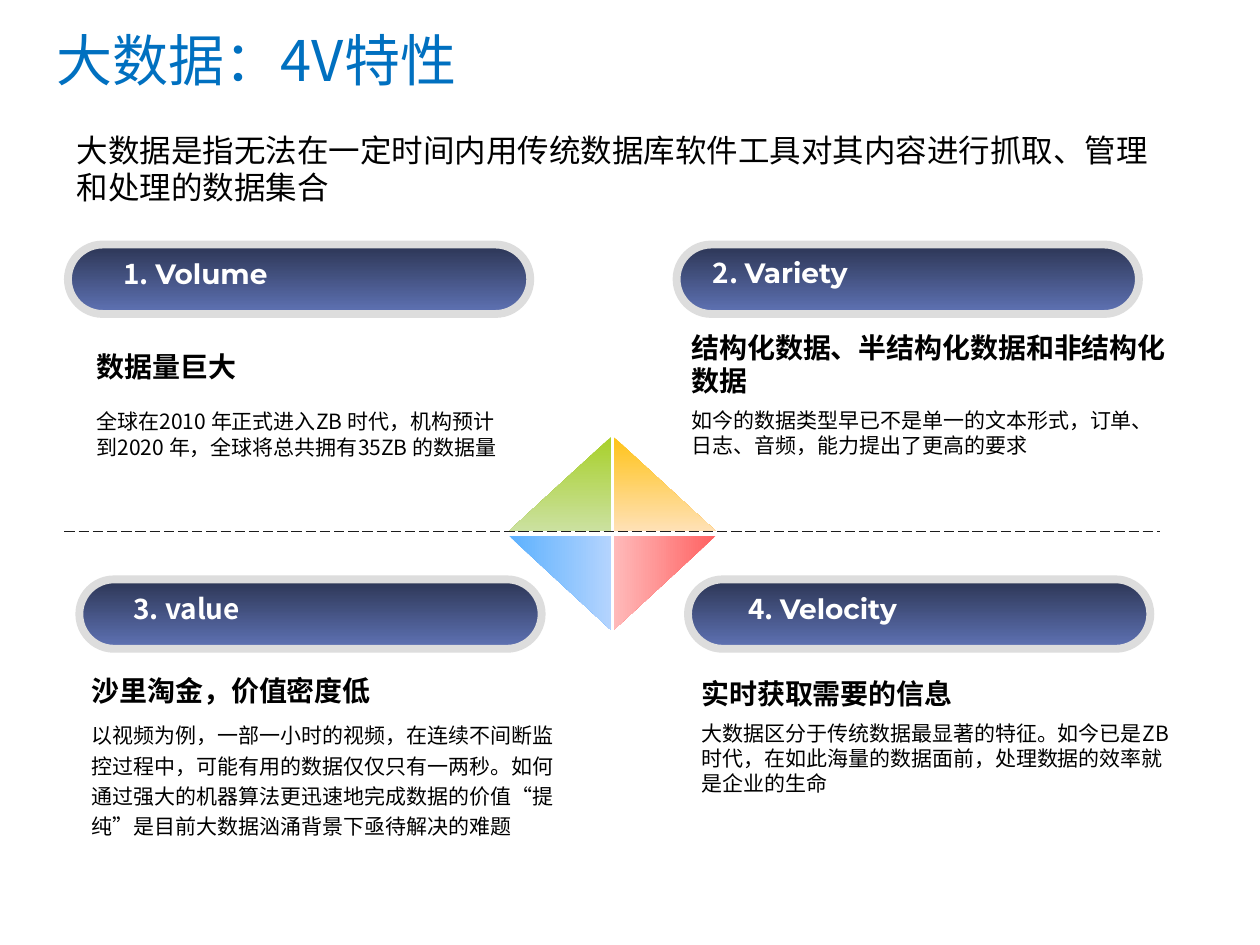
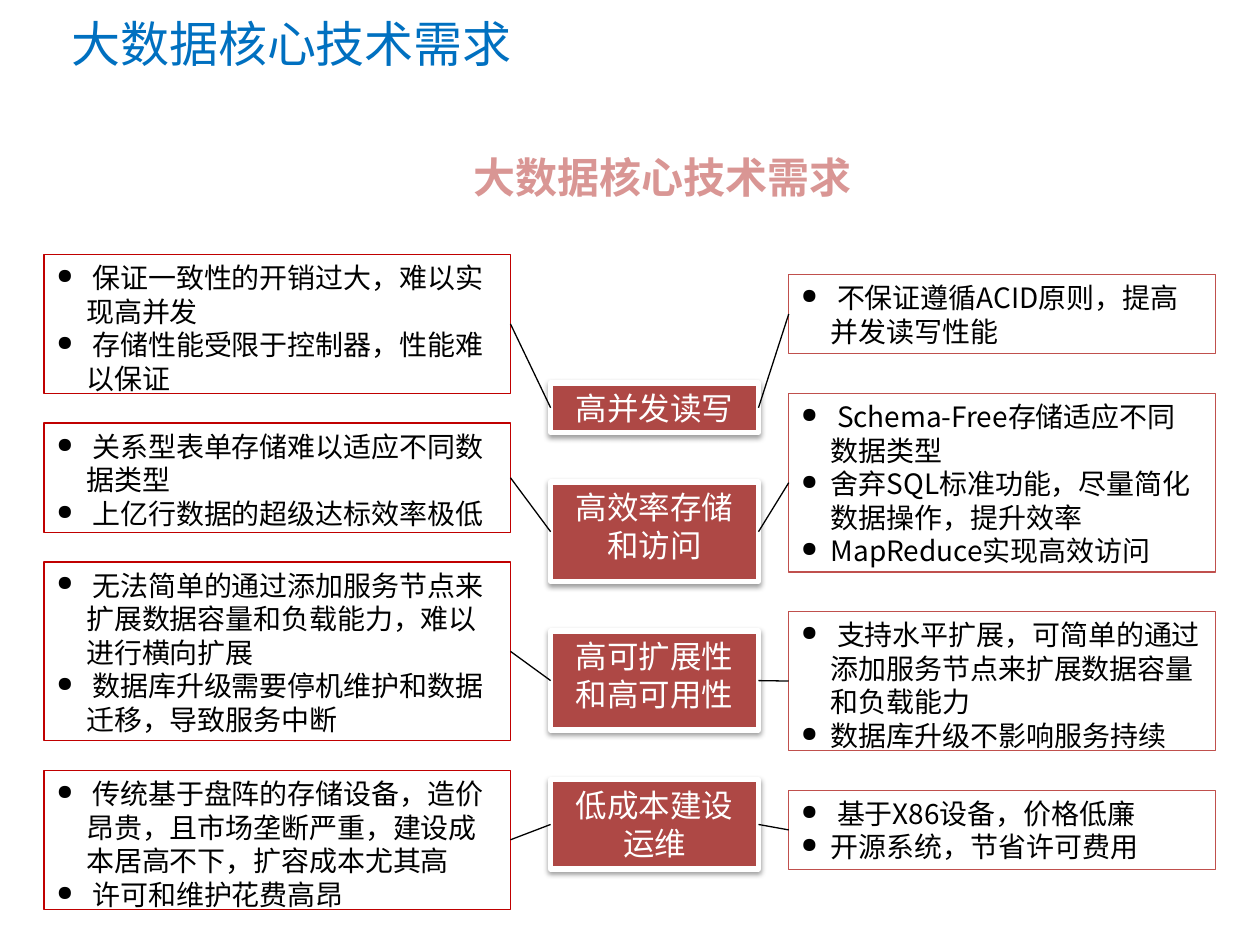
from pptx import Presentation
from pptx.dml.color import RGBColor
from pptx.enum.dml import MSO_LINE
from pptx.enum.shapes import MSO_CONNECTOR, MSO_SHAPE
from pptx.enum.text import MSO_ANCHOR, PP_ALIGN
from pptx.oxml.ns import qn
from pptx.oxml.xmlchemy import OxmlElement
from pptx.util import Cm, Pt

LONG_DASH = MSO_LINE.LONG_DASH
STRAIGHT = MSO_CONNECTOR.STRAIGHT
RECTANGLE = MSO_SHAPE.RECTANGLE
PILL = MSO_SHAPE.ROUNDED_RECTANGLE
TRIANGLE = MSO_SHAPE.RIGHT_TRIANGLE
TOP, MIDDLE = MSO_ANCHOR.TOP, MSO_ANCHOR.MIDDLE
LEFT, CENTER = PP_ALIGN.LEFT, PP_ALIGN.CENTER
LEFT_SITE, RIGHT_SITE = 1, 3

FONT, LABEL_FONT = "Noto Sans CJK SC", "Montserrat"
BLACK, WHITE, TITLE_BLUE = "000000", "FFFFFF", "0070C0"
NAVY, INDIGO, PILL_EDGE, DASH_GREY = "2C3554", "5F73B5", "DDDDDD", "1C1C1C"
HUB_RED, HEADING_PINK = "AE4845", "D99694"
PROBLEM_RED, SOLUTION_RED = "C00000", "C0504D"

PILLS = [
    (1.37, 4.93, 2.24, 5.05, "1. ", "Volume", LABEL_FONT),
    (13.64, 4.93, 14.12, 5.03, "2. ", "Variety", LABEL_FONT),
    (1.6, 11.68, 2.44, 11.81, "3. ", "value", FONT),
    (13.87, 11.68, 14.83, 11.81, "4. ", "Velocity", LABEL_FONT),
]
TRIANGLES = [
    (10.26, 8.81, 2.06, 1.9, 0, True, "A8D02A", "CBE1A0"),
    (12.37, 8.81, 2.06, 1.9, 0, False, "FFC319", "FFE1B6"),
    (12.45, 10.72, 1.9, 2.06, 90, False, "FF6161", "FFBABA"),
    (10.34, 10.72, 1.9, 2.06, 270, True, "5CB1FE", "B4D4FE"),
]
FEATURES = [
    (1.7, 6.93, 8.81, 2.49, 14.5, 1, "数据量巨大",
     "全球在2010 年正式进入ZB 时代，机构预计到2020 年，全球将总共拥有35ZB 的数据量"),
    (13.69, 6.53, 10.21, 2.87, 6, 1, "结构化数据、半结构化数据和非结构化数据",
     "如今的数据类型早已不是单一的文本形式，订单、日志、音频，能力提出了更高的要求"),
    (1.6, 13.46, 9.96, 3.61, 6, 1.2, "沙里淘金，价值密度低",
     "以视频为例，一部一小时的视频，在连续不间断监控过程中，可能有用的数据仅仅只有一两秒。"
     "如何通过强大的机器算法更迅速地完成数据的价值“提纯”是目前大数据汹涌背景下亟待解决的难题"),
    (13.89, 13.51, 10.03, 2.69, 6, 1, "实时获取需要的信息",
     "大数据区分于传统数据最显著的特征。如今已是ZB时代，在如此海量的数据面前，"
     "处理数据的效率就是企业的生命"),
]
PROBLEMS = [
    (2.8, [" 保证一致性的开销过大，难以实现高并发",
           " 存储性能受限于控制器，性能难以保证"]),
    (2.2, [" 关系型表单存储难以适应不同数据类型",
           " 上亿行数据的超级达标效率极低"]),
    (3.6, [" 无法简单的通过添加服务节点来扩展数据容量和负载能力，难以进行横向扩展",
           " 数据库升级需要停机维护和数据迁移，导致服务中断"]),
    (2.8, [" 传统基于盘阵的存储设备，造价昂贵，且市场垄断严重，建设成本居高不下，扩容成本尤其高",
           " 许可和维护花费高昂"]),
]
NEEDS = [
    (1, ["高并发读写"]),
    (2, ["高效率存储 和访问"]),
    (2, ["高可扩展性和高可用性"]),
    (1.8, ["低成本建设", "运维"]),
]
SOLUTIONS = [
    (1.6, [" 不保证遵循ACID原则，提高并发读写性能"]),
    (3.6, [" Schema-Free存储适应不同数据类型",
           "舍弃SQL标准功能，尽量简化数据操作，提升效率",
           "MapReduce实现高效访问"]),
    (2.8, [" 支持水平扩展，可简单的通过添加服务节点来扩展数据容量和负载能力",
           "数据库升级不影响服务持续"]),
    (1.6, [" 基于X86设备，价格低廉", "开源系统，节省许可费用"]),
]


def rgb(value):
    return RGBColor.from_string(value)


def add_element(parent, tag, **attributes):
    element = OxmlElement(tag)
    for name, value in attributes.items():
        element.set(name, str(value))
    parent.append(element)
    return element


def style_paragraph(paragraph, size, color, bold=False):
    font = paragraph.font
    font.size, font.bold, font.name = Pt(size), bold, FONT
    font.color.rgb = rgb(color)
    add_element(paragraph._p.pPr.find(qn("a:defRPr")), "a:ea", typeface=FONT)


def add_bullet(paragraph):
    properties = paragraph._p.get_or_add_pPr()
    properties.set("marL", str(Cm(0.6)))
    properties.set("indent", str(-Cm(0.6)))
    add_element(properties, "a:buSzPct", val=75000)
    add_element(properties, "a:buChar", char="●")


def write_paragraphs(frame, texts, size, color, bold=False, align=LEFT, bullets=False):
    frame.word_wrap = True
    for index, text in enumerate(texts):
        paragraph = frame.add_paragraph() if index else frame.paragraphs[0]
        paragraph.text = text
        paragraph.alignment = align
        if bullets:
            add_bullet(paragraph)
        style_paragraph(paragraph, size, color, bold)


def add_text(page, left, top, width, height, text, size, color, bold=False, anchor=TOP):
    box = page.shapes.add_textbox(Cm(left), Cm(top), Cm(width), Cm(height))
    box.text_frame.vertical_anchor = anchor
    write_paragraphs(box.text_frame, [text], size, color, bold)
    return box


def add_title(page, left, top, text, size):
    add_text(page, left, top, 22.86, 0.91, text, size, TITLE_BLUE, anchor=MIDDLE)


def add_plain_shape(page, kind, left, top, width, height):
    shape = page.shapes.add_shape(kind, Cm(left), Cm(top), Cm(width), Cm(height))
    shape.shadow.inherit = False
    return shape


def set_outline(shape, color, width):
    shape.line.color.rgb = rgb(color)
    shape.line.width = Pt(width)


def set_gradient(shape, *colors):
    shape.fill.gradient()
    shape.fill.gradient_angle = 270
    for stop, color in zip(shape.fill.gradient_stops, colors):
        stop.color.rgb = rgb(color)


def add_line(page, color, start=(0, 0), end=(0, 0)):
    ends = [Cm(value) for value in (*start, *end)]
    line = page.shapes.add_connector(STRAIGHT, *ends)
    set_outline(line, color, 0.75)
    add_element(line._element.spPr, "a:effectLst")
    return line


def add_pill(page, left, top, text_left, text_top, number, word, word_font):
    pill = add_plain_shape(page, PILL, left, top, 9.32, 1.4)
    pill.adjustments[0] = 0.5
    set_gradient(pill, NAVY, INDIGO)
    set_outline(pill, PILL_EDGE, 4.5)
    label = add_text(page, text_left, text_top, 7, 0.94, number, 16, WHITE, True)
    span = label.text_frame.paragraphs[0].add_run()
    span.text = word
    span.font.name = word_font


def add_triangle(page, left, top, width, height, rotation, flipped, dark, light):
    triangle = add_plain_shape(page, TRIANGLE, left, top, width, height)
    triangle.rotation = rotation
    if flipped:
        triangle._element.spPr.xfrm.set("flipH", "1")
    set_gradient(triangle, dark, light)
    triangle.line.fill.background()


def add_feature(page, left, top, width, height, gap, spacing, heading, detail):
    box = add_text(page, left, top, width, height, heading, 16, BLACK, True)
    paragraph = box.text_frame.add_paragraph()
    paragraph.text = detail
    paragraph.space_before = Pt(gap)
    paragraph.line_spacing = spacing
    style_paragraph(paragraph, 12, BLACK)


def add_list_box(page, left, top, width, height, texts, edge):
    box = add_plain_shape(page, RECTANGLE, left, top, width, height)
    box.fill.background()
    set_outline(box, edge, 0.75)
    box.text_frame.vertical_anchor = TOP
    write_paragraphs(box.text_frame, texts, 16, BLACK, bullets=True)
    return box


def add_hub(page, left, top, width, height, texts):
    hub = add_plain_shape(page, RECTANGLE, left, top, width, height)
    hub.fill.solid()
    hub.fill.fore_color.rgb = rgb(HUB_RED)
    set_outline(hub, WHITE, 3)
    effects = hub._element.spPr.find(qn("a:effectLst"))
    shadow = add_element(effects, "a:outerShdw", blurRad=Pt(3.1), dist=Pt(1.6),
                         dir=90 * 60000, rotWithShape=0)
    add_element(add_element(shadow, "a:srgbClr", val=BLACK), "a:alpha", val=38000)
    hub.text_frame.vertical_anchor = TOP
    write_paragraphs(hub.text_frame, texts, 18, WHITE, align=CENTER)
    return hub


def stack(page, add_box, left, top, width, gap, items, *style):
    boxes = []
    for height, texts in items:
        boxes.append(add_box(page, left, top, width, height, texts, *style))
        top += height + gap
    return boxes


def link(page, source, target):
    line = add_line(page, BLACK)
    line.begin_connect(source, RIGHT_SITE)
    line.end_connect(target, LEFT_SITE)


def build_features_page(page):
    add_title(page, 0.89, 0.74, "大数据：4V特性", 32)
    add_text(page, 1.3, 2.51, 22.6, 2.57,
             "大数据是指无法在一定时间内用传统数据库软件工具对其内容进行抓取、管理和处理的数据集合",
             18, BLACK)
    for pill in PILLS:
        add_pill(page, *pill)
    for triangle in TRIANGLES:
        add_triangle(page, *triangle)
    add_line(page, DASH_GREY, (1.3, 10.72), (23.39, 10.72)).line.dash_style = LONG_DASH
    for feature in FEATURES:
        add_feature(page, *feature)


def build_needs_page(page):
    add_title(page, 1.19, 0.41, "大数据核心技术需求", 28)
    add_text(page, 9.3, 2.92, 8.6, 1.27, "大数据核心技术需求", 24, HEADING_PINK, True)
    hubs = stack(page, add_hub, 11.1, 7.72, 4.19, 1, NEEDS)
    problems = stack(page, add_list_box, 0.89, 5.13, 9.4, 0.6, PROBLEMS, PROBLEM_RED)
    solutions = stack(page, add_list_box, 15.9, 5.53, 8.6, 0.8, SOLUTIONS, SOLUTION_RED)
    for problem, hub, solution in zip(problems, hubs, solutions):
        link(page, problem, hub)
        link(page, hub, solution)


def main():
    deck = Presentation()
    deck.slide_width, deck.slide_height = Cm(25.4), Cm(19.05)
    blank = deck.slide_layouts[6]
    build_features_page(deck.slides.add_slide(blank))
    build_needs_page(deck.slides.add_slide(blank))
    deck.save("out.pptx")


if __name__ == "__main__":
    main()
